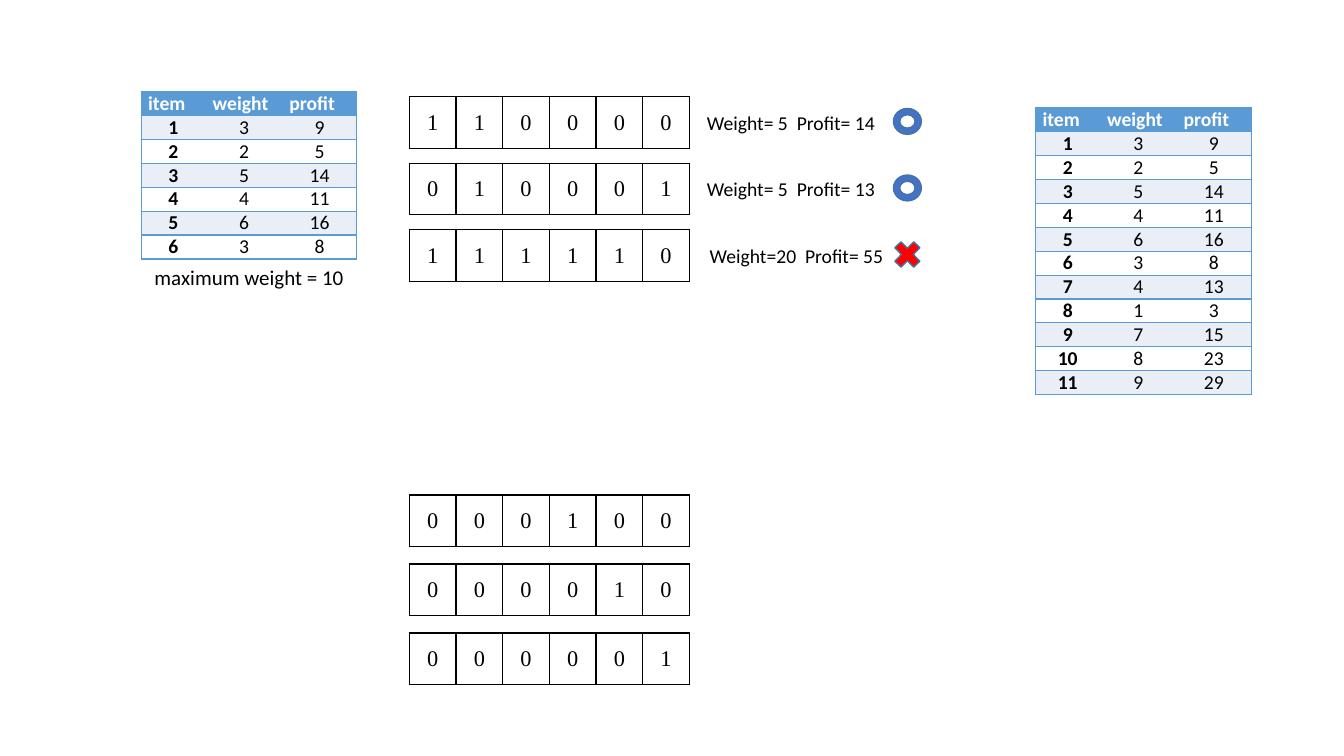
from dataclasses import dataclass

from lxml import etree
from pptx import Presentation
from pptx.dml.color import RGBColor
from pptx.enum.shapes import MSO_SHAPE
from pptx.enum.text import MSO_ANCHOR, MSO_AUTO_SIZE, PP_ALIGN
from pptx.oxml.ns import qn
from pptx.util import Inches, Pt

DONUT, CROSS = MSO_SHAPE.DONUT, MSO_SHAPE.MATH_MULTIPLY
CENTER, JUSTIFY = PP_ALIGN.CENTER, PP_ALIGN.JUSTIFY
TOP, MIDDLE = MSO_ANCHOR.TOP, MSO_ANCHOR.MIDDLE
FIT_SHAPE = MSO_AUTO_SIZE.SHAPE_TO_FIT_TEXT


@dataclass(frozen=True)
class Theme:
    header: str = "5B9BD5"
    band: str = "EAEFF7"
    white: str = "FFFFFF"
    black: str = "000000"
    valid: str = "4472C4"
    invalid: str = "FF0000"
    outline: str = "43739E"
    font: str = "Calibri"
    bit_font: str = "Times New Roman"
    text_size: int = 14
    caption_size: int = 15
    bit_size: int = 16


THEME = Theme()

HEADINGS = ("item", "weight", "profit")
ITEMS = [(3, 9), (2, 5), (5, 14), (4, 11), (6, 16), (3, 8),
         (4, 13), (1, 3), (7, 15), (8, 23), (9, 29)]
ITEM_COLUMNS = (0.64, 0.76, 0.74)
ITEM_ROW = 0.23

BITS_LEFT, BITS_WIDTH, BITS_HEIGHT = 4.06, 2.78, 0.51
CANDIDATES_TOP, CANDIDATE_STEP = 0.96, 0.66
CANDIDATES = [
    ("110000", "Weight= 5  Profit= 14", True),
    ("010001", "Weight= 5  Profit= 13", True),
    ("111110", "Weight=20  Profit= 55", False),
]
SINGLES_TOP, SINGLE_STEP = 4.91, 0.685
SINGLES = ["000100", "000010", "000001"]


def write(frame, text, size, font=THEME.font, color=THEME.black,
          bold=False, align=CENTER):
    para = frame.paragraphs[0]
    para.alignment = align
    span = para.add_run()
    span.text = text
    span.font.size = Pt(size)
    span.font.name = font
    span.font.bold = bold
    span.font.color.rgb = RGBColor.from_string(color)


def set_borders(cell, color, sides):
    """Draw the named sides (letters of LRTB) and clear the others."""
    properties = cell._tc.get_or_add_tcPr()
    for side in "LRTB":
        line = etree.SubElement(properties, qn(f"a:ln{side}"), w=str(Pt(1)))
        if side in sides:
            fill = etree.SubElement(line, qn("a:solidFill"))
            etree.SubElement(fill, qn("a:srgbClr"), val=color)
        else:
            etree.SubElement(line, qn("a:noFill"))


def paint(cell, color):
    cell.fill.solid()
    cell.fill.fore_color.rgb = RGBColor.from_string(color)


def add_grid(page, left, top, widths, row_height, row_count):
    frame = page.shapes.add_table(
        row_count, len(widths), Inches(left), Inches(top),
        Inches(sum(widths)), Inches(row_height * row_count))
    grid = frame.table
    grid.first_row = grid.horz_banding = False
    for column, width in zip(grid.columns, widths):
        column.width = Inches(width)
    return grid


def add_item_table(page, left, top, items):
    rows = [HEADINGS] + [(number, *values)
                         for number, values in enumerate(items, 1)]
    grid = add_grid(page, left, top, ITEM_COLUMNS, ITEM_ROW, len(rows))
    last_column = len(HEADINGS) - 1
    for row, values in enumerate(rows):
        is_header = row == 0
        band = THEME.band if row % 2 else THEME.white
        for column, value in enumerate(values):
            cell = grid.cell(row, column)
            cell.margin_left = cell.margin_right = Inches(0.07)
            cell.margin_top = cell.margin_bottom = 0
            cell.vertical_anchor = TOP if is_header else MIDDLE
            sides = "TB" + "L" * (column == 0) + "R" * (column == last_column)
            set_borders(cell, THEME.header, sides)
            paint(cell, THEME.header if is_header else band)
            write(cell.text_frame, str(value), THEME.text_size,
                  color=THEME.white if is_header else THEME.black,
                  bold=is_header or column == 0,
                  align=JUSTIFY if is_header else CENTER)


def add_bit_row(page, left, top, bits):
    widths = [BITS_WIDTH / len(bits)] * len(bits)
    grid = add_grid(page, left, top, widths, BITS_HEIGHT, 1)
    for column, bit in enumerate(bits):
        cell = grid.cell(0, column)
        cell.vertical_anchor = MIDDLE
        set_borders(cell, THEME.black, "LRTB")
        paint(cell, THEME.white)
        write(cell.text_frame, bit, THEME.bit_size, font=THEME.bit_font)


def add_label(page, left, top, width, height, text, size):
    box = page.shapes.add_textbox(
        Inches(left), Inches(top), Inches(width), Inches(height))
    box.text_frame.word_wrap = False
    box.text_frame.auto_size = FIT_SHAPE
    write(box.text_frame, text, size)


def add_mark(page, center_x, center_y, is_valid):
    """Ring for a solution within the weight limit, cross for one beyond it."""
    if is_valid:
        kind, width, height, color, line = DONUT, 0.28, 0.26, THEME.valid, 0
    else:
        kind, width, height, color, line = CROSS, 0.36, 0.37, THEME.invalid, 1
    mark = page.shapes.add_shape(
        kind, Inches(center_x - width / 2), Inches(center_y - height / 2),
        Inches(width), Inches(height))
    mark.shadow.inherit = False
    mark.fill.solid()
    mark.fill.fore_color.rgb = RGBColor.from_string(color)
    mark.line.color.rgb = RGBColor.from_string(THEME.outline)
    mark.line.width = Pt(line)


def add_candidate(page, left, top, bits, result, is_valid):
    add_bit_row(page, left, top, bits)
    label_left, label_width = (2.84, 1.89) if is_valid else (2.87, 1.94)
    add_label(page, left + label_left, top + 0.09, label_width, 0.34,
              result, THEME.text_size)
    add_mark(page, left + 4.94, top + BITS_HEIGHT / 2 - 0.01, is_valid)


def build_knapsack_slide(deck):
    page = deck.slides.add_slide(deck.slide_layouts[6])
    add_item_table(page, 10.27, 1.07, ITEMS)
    add_item_table(page, 1.4, 0.91, ITEMS[:6])
    add_label(page, 1.42, 2.57, 2.1, 0.35, "maximum weight = 10",
              THEME.caption_size)
    for index, candidate in enumerate(CANDIDATES):
        add_candidate(page, BITS_LEFT,
                      CANDIDATES_TOP + index * CANDIDATE_STEP, *candidate)
    for index, bits in enumerate(SINGLES):
        add_bit_row(page, BITS_LEFT, SINGLES_TOP + index * SINGLE_STEP, bits)


def main():
    deck = Presentation()
    deck.slide_width, deck.slide_height = Inches(13.33), Inches(7.5)
    build_knapsack_slide(deck)
    deck.save("out.pptx")


if __name__ == "__main__":
    main()
